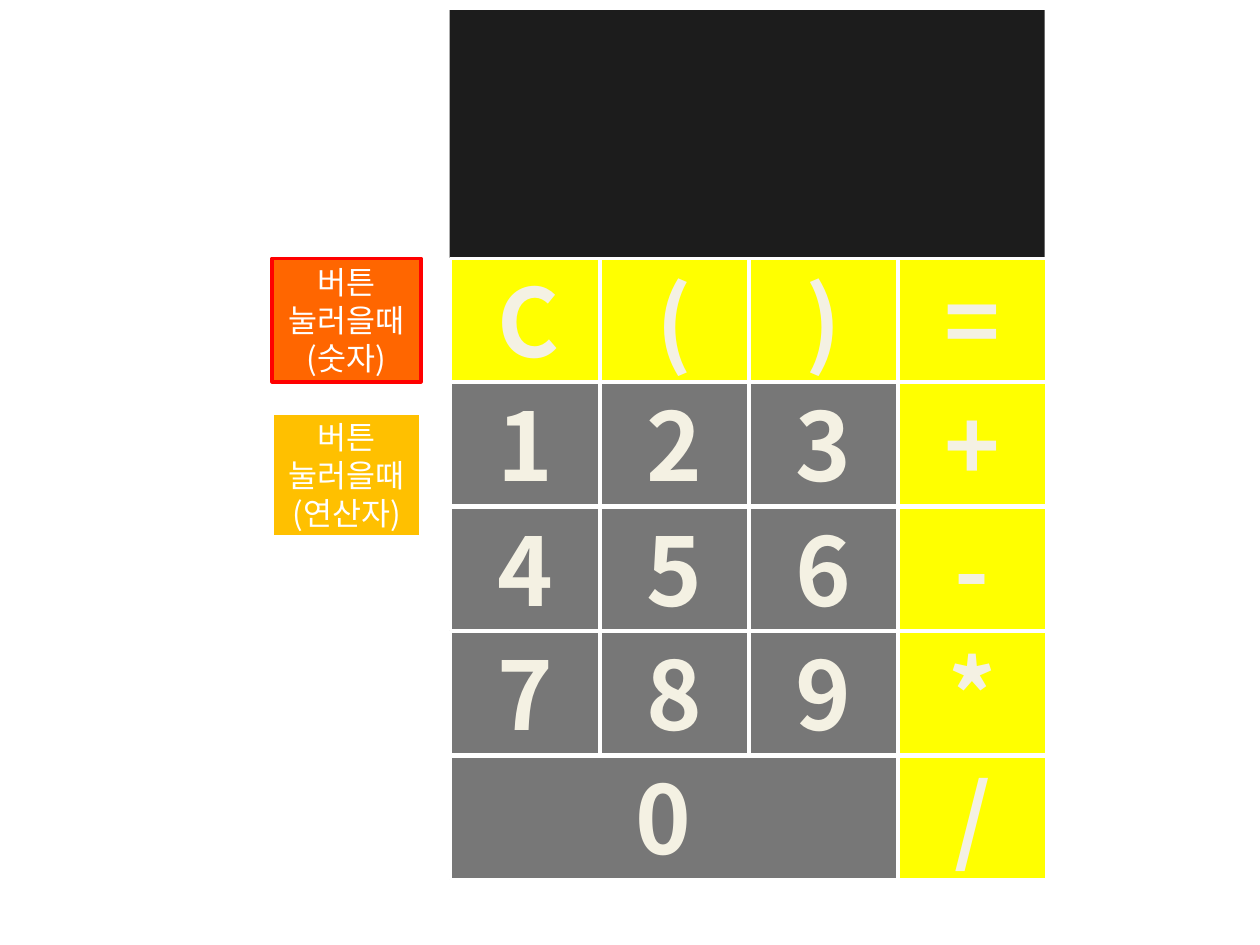
from lxml import etree
from pptx import Presentation
from pptx.dml.color import RGBColor
from pptx.enum import shapes, text
from pptx.oxml import ns
from pptx.util import Pt

FONT = "Noto Sans CJK KR"
BODY, GREY, YELLOW, WHITE, CREAM = "1C1C1C", "777777", "FFFF00", "FFFFFF", "F4F1E3"

# Content: key rows, and legend entries with fill and line colours
KEY_ROWS = ["C()=", "123+", "456-", "789*", "0/"]
LEGEND = [
    ("버튼 눌러을때(숫자)", 147.6, "FF6600", "FF0000"),
    ("버튼 눌러을때(연산자)", 236.2, "FFC000", WHITE),
]

# Layout in points
KEY_LEFT, KEY_TOP = 257.5, 147.6
COLUMN_STEP, ROW_STEP = 85.2, 71.1
KEY_WIDTH, KEY_HEIGHT = 85, 70.6
LABEL_WIDTH, LABEL_HEIGHT = 46, 72.7
LABEL_SHIFT = {"0": -6}
LEGEND_LEFT = 155.5


def color(value):
    return RGBColor.from_string(value)


def add_box(parent, left, top, width, height, fill, line=None):
    shape = parent.add_shape(shapes.MSO_SHAPE.RECTANGLE,
                             Pt(left), Pt(top), Pt(width), Pt(height))
    shape.shadow.inherit = False
    shape.fill.solid()
    shape.fill.fore_color.rgb = color(fill)
    if line:
        shape.line.color.rgb = color(line)
        shape.line.width = Pt(2)
    else:
        shape.line.fill.background()
    return shape


def write(shape, content, size, fill, bold=False, wrap=True,
          anchor=text.MSO_ANCHOR.MIDDLE):
    frame = shape.text_frame
    frame.word_wrap = wrap
    frame.vertical_anchor = anchor
    paragraph = frame.paragraphs[0]
    paragraph.alignment = text.PP_ALIGN.CENTER
    run = paragraph.add_run()
    run.text = content
    run.font.size = Pt(size)
    run.font.bold = bold
    run.font.name = FONT
    run.font.color.rgb = color(fill)
    # East Asian typeface for the Korean text
    etree.SubElement(run.font._element, ns.qn("a:ea"), typeface=FONT)


presentation = Presentation()
presentation.slide_width, presentation.slide_height = Pt(720), Pt(540)
slide = presentation.slides.add_slide(presentation.slide_layouts[6])

# Calculator body
calculator = slide.shapes.add_group_shape().shapes
add_box(calculator, 257, 5.8, 340, 496.8, BODY)

# Place the keys; the zero key spans three columns
keys = []
for row, symbols in enumerate(KEY_ROWS):
    column = 0
    for symbol in symbols:
        span = 3 if symbol == "0" else 1
        left = KEY_LEFT + column * COLUMN_STEP
        top = KEY_TOP + row * ROW_STEP
        width = KEY_WIDTH + (span - 1) * COLUMN_STEP
        yellow = row == 0 or column == 3
        keys.append((symbol, left, top, width, YELLOW if yellow else GREY))
        column += span

for symbol, left, top, width, fill in keys:
    add_box(calculator, left, top, width, KEY_HEIGHT, fill, WHITE)

# Key labels
for symbol, left, top, width, fill in keys:
    label_left = left + (width - LABEL_WIDTH) / 2 + LABEL_SHIFT.get(symbol, 0)
    label = calculator.add_textbox(Pt(label_left), Pt(top - 1),
                                   Pt(LABEL_WIDTH), Pt(LABEL_HEIGHT))
    write(label, symbol, 54, CREAM, bold=True, wrap=False,
          anchor=text.MSO_ANCHOR.TOP)

# Legend for pressed buttons
for caption, top, fill, line in LEGEND:
    box = add_box(slide.shapes, LEGEND_LEFT, top, KEY_WIDTH, KEY_HEIGHT, fill, line)
    write(box, caption, 18, WHITE)

presentation.save("out.pptx")
